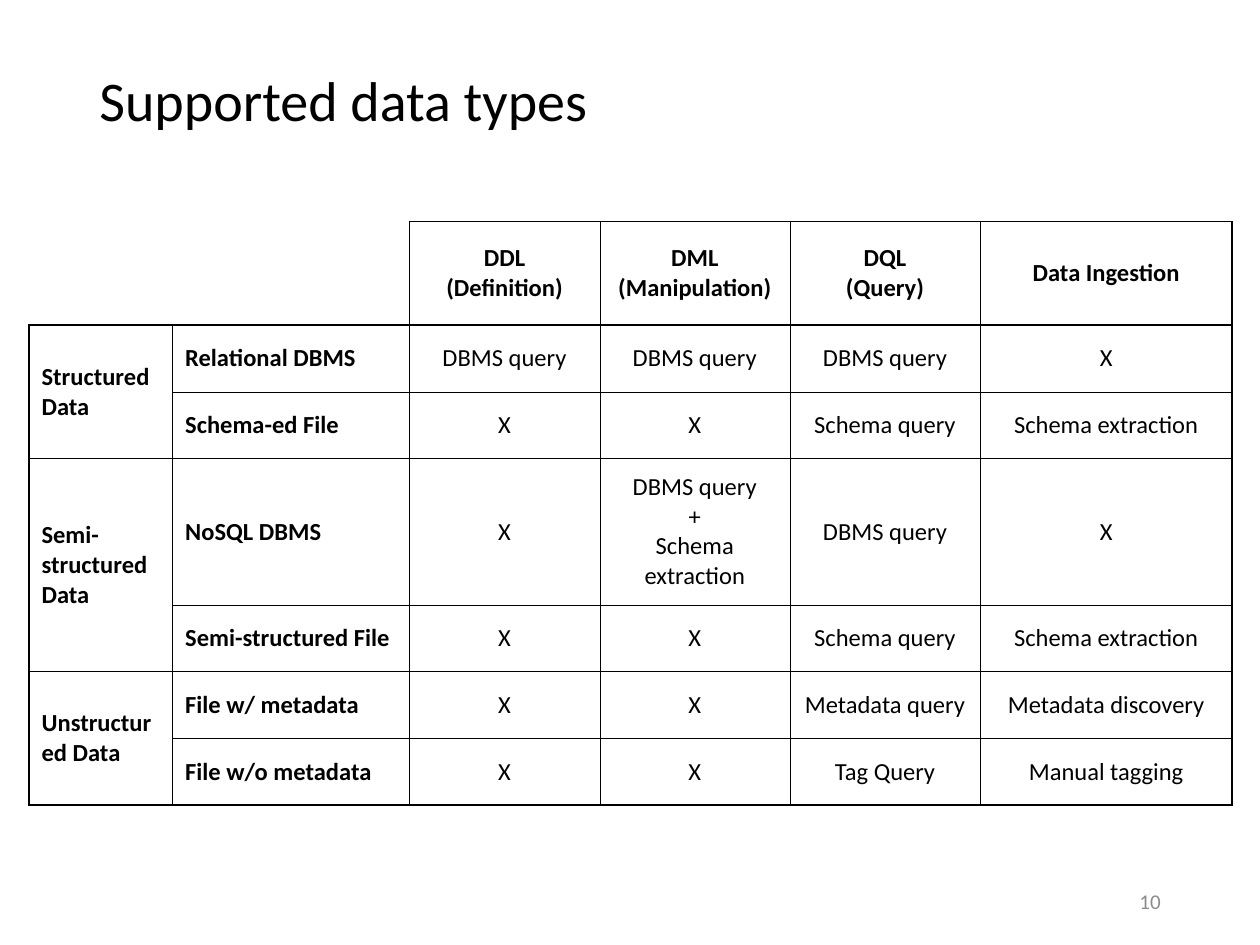
from copy import deepcopy
from pptx import Presentation, util as u
from pptx.dml.color import RGBColor
from pptx.enum import text
from pptx.oxml import parse_xml, ns

BLACK = RGBColor(0, 0, 0)
GREY = RGBColor(0x8C, 0x8C, 0x8C)
FONT = "Calibri"
PLAIN = "{2D5ABB26-0587-4C30-8999-92F81FD0307C}"  # no style, no grid
LEFT, MID, RIGHT = text.PP_ALIGN.LEFT, text.PP_ALIGN.CENTER, text.PP_ALIGN.RIGHT

COLS = [1.14, 1.88, 1.51, 1.51, 1.51, 2]
ROWS = [0.82, 0.53, 0.53, 1.16, 0.53, 0.53, 0.53]
BOLD_X, BOLD_Y = {0, 2, 6}, {0, 1, 7}  # grid lines drawn thick
MERGES = [(0, 0, 0, 1), (1, 0, 2, 0), (3, 0, 4, 0), (5, 0, 6, 0)]
DATA = [
    ["", "", "DDL\v(Definition)", "DML\v(Manipulation)", "DQL\v(Query)",
     "Data Ingestion"],
    ["Structured Data", "Relational DBMS", "DBMS query", "DBMS query",
     "DBMS query", "X"],
    ["", "Schema-ed File", "X", "X", "Schema query", "Schema extraction"],
    ["Semi-structured Data", "NoSQL DBMS", "X",
     "DBMS query\v+\vSchema extraction", "DBMS query", "X"],
    ["", "Semi-structured File", "X", "X", "Schema query",
     "Schema extraction"],
    ["Unstructured Data", "File w/ metadata", "X", "X", "Metadata query",
     "Metadata discovery"],
    ["", "File w/o metadata", "X", "X", "Tag Query", "Manual tagging"],
]


def write(frame, words, size, color=BLACK, align=LEFT, bold=False):
    frame.text = words
    for para in frame.paragraphs:
        para.alignment = align
        for run in para.runs:
            run.font.name, run.font.size = FONT, u.Pt(size)
            run.font.bold, run.font.color.rgb = bold, color
        # Line breaks take the size of the text around them
        for brk in para._p.findall(ns.qn("a:br")):
            brk.append(deepcopy(para.runs[0]._r.rPr))


def add_text(slide, box, words, size, **style):
    frame = slide.shapes.add_textbox(*map(u.Inches, box)).text_frame
    frame.word_wrap = True
    frame.vertical_anchor = text.MSO_ANCHOR.MIDDLE
    write(frame, words, size, **style)
    return frame


def set_edge(cell, side, thick):
    width = u.Pt(1 if thick else 0.25)
    cell._tc.get_or_add_tcPr().append(parse_xml(
        f'<a:ln{side} {ns.nsdecls("a")} w="{width}"><a:solidFill>'
        f'<a:srgbClr val="{BLACK}"/></a:solidFill></a:ln{side}>'))


def draw_edges(cell, row, col):
    bottom, right = row + cell.span_height, col + cell.span_width
    if not cell.is_merge_origin:
        bottom, right = row + 1, col + 1
    edges = [("L", col in BOLD_X), ("R", right in BOLD_X),
             ("T", row in BOLD_Y), ("B", bottom in BOLD_Y)]
    corner = (row, col) == (0, 0)
    for side, thick in edges:
        if not (corner and side in "LT"):
            set_edge(cell, side, thick)


def add_grid(slide, left, top):
    size = map(u.Inches, (left, top, sum(COLS), sum(ROWS)))
    grid = slide.shapes.add_table(len(ROWS), len(COLS), *size).table
    grid._tbl.tblPr.find(ns.qn("a:tableStyleId")).text = PLAIN
    grid.first_row = grid.horz_banding = False
    for col, width in zip(grid.columns, COLS):
        col.width = u.Inches(width)
    for row, height in zip(grid.rows, ROWS):
        row.height = u.Inches(height)
    for r1, c1, r2, c2 in MERGES:
        grid.cell(r1, c1).merge(grid.cell(r2, c2))

    # Fill every visible cell
    for r, line in enumerate(DATA):
        for c, words in enumerate(line):
            cell = grid.cell(r, c)
            if cell.is_spanned:
                continue
            cell.vertical_anchor = text.MSO_ANCHOR.MIDDLE
            write(cell.text_frame, words, 14,
                  align=LEFT if c < 2 else MID, bold=r == 0 or c < 2)
            draw_edges(cell, r, c)
            cell.fill.background()


def main():
    deck = Presentation()
    deck.slide_width, deck.slide_height = u.Inches(10), u.Inches(7.5)
    slide = deck.slides.add_slide(deck.slide_layouts[6])

    # Title
    title = add_text(slide, (0.69, 0.4, 8.62, 0.84),
                     "Supported data types", 32)
    title.paragraphs[0].line_spacing = 0.9

    # Table of data types
    add_grid(slide, 0.23, 1.76)

    # Page number
    add_text(slide, (7.06, 6.95, 2.25, 0.4), "10", 12,
             color=GREY, align=RIGHT)
    deck.save("out.pptx")


main()
